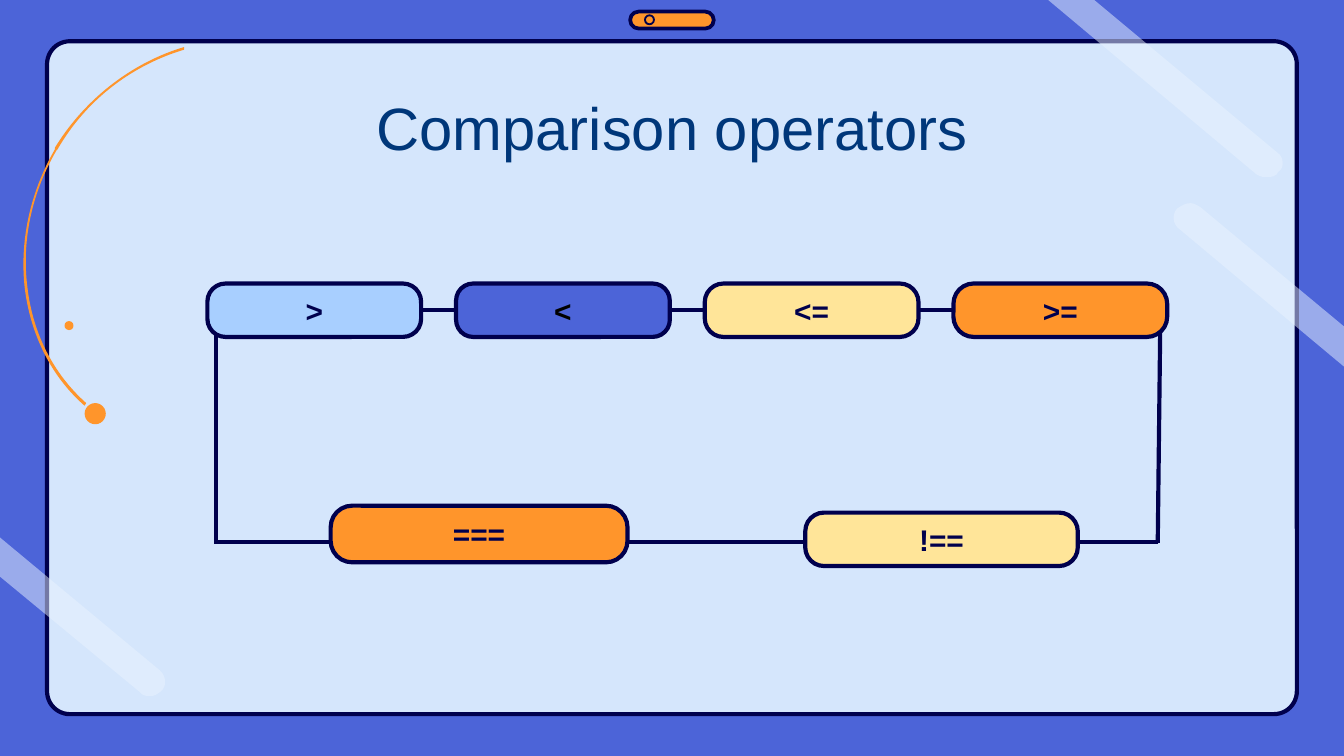
from lxml import etree
from pptx import Presentation
from pptx.dml.color import RGBColor as RGB
from pptx.enum.shapes import MSO_CONNECTOR as Connector, MSO_SHAPE as Preset
from pptx.enum.text import MSO_ANCHOR as Anchor, PP_ALIGN as Align
from pptx.oxml.ns import qn
from pptx.util import Cm, Pt

NAVY, BLUE, ORANGE, YELLOW = "00004D", "4C64D8", "FF952B", "FFE599"


def paint(shape, fill=None, line=None, width=2.25):
    shape.shadow.inherit = False
    if fill:
        shape.fill.solid()
        shape.fill.fore_color.rgb = RGB.from_string(fill)
    else:
        shape.fill.background()
    if line:
        shape.line.color.rgb = RGB.from_string(line)
        shape.line.width = Pt(width)
    else:
        shape.line.fill.background()


def add_outline(start, segments, fill):
    points = [(Cm(segment[i]), Cm(segment[i + 1]))
              for segment in segments for i in range(0, len(segment), 2)]
    builder = shapes.build_freeform(Cm(start[0]), Cm(start[1]))
    builder.add_line_segments(points, close=True)
    shape = builder.convert_to_shape()
    steps = iter(list(shape.element.iter(qn("a:lnTo"))))
    for segment in segments:
        step = next(steps)
        if len(segment) == 6:
            curve = etree.Element(qn("a:cubicBezTo"))
            step.addprevious(curve)
            for corner in (step, next(steps), next(steps)):
                curve.append(corner[0])
                corner.getparent().remove(corner)
    paint(shape, fill)
    return shape


presentation = Presentation()
presentation.slide_width, presentation.slide_height = Cm(25.4), Cm(14.29)
slide = presentation.slides.add_slide(presentation.slide_layouts[5])
shapes = slide.shapes
slide.background.fill.solid()
slide.background.fill.fore_color.rgb = RGB.from_string(BLUE)

decorations = [
    (Preset.ROUNDED_RECTANGLE, 0.89, 0.78, 23.62, 12.72, 0.034, "D5E6FC", NAVY, 2.25),
    (Preset.ROUNDED_RECTANGLE, 11.91, 0.22, 1.58, 0.32, 0.5, ORANGE, NAVY, 2),
    (Preset.OVAL, 12.19, 0.29, 0.17, 0.17, None, None, NAVY, 1),
    (Preset.OVAL, 1.22, 6.07, 0.17, 0.17, None, ORANGE, None, 0),
    (Preset.OVAL, 1.6, 7.62, 0.4, 0.4, None, ORANGE, None, 0),
]
for preset, left, top, width, height, rounding, fill, line, weight in decorations:
    shape = shapes.add_shape(preset, Cm(left), Cm(top), Cm(width), Cm(height))
    if rounding:
        shape.adjustments[0] = rounding
    paint(shape, fill, line, weight)

add_outline((1.6, 7.67), [
    (1.63, 7.62), (1, 7.06, 0.62, 6.29, 0.52, 5.44), (0.41, 4.59, 0.58, 3.68, 1.07, 2.84),
    (1.09, 2.82), (1.65, 1.85, 2.54, 1.22, 3.48, 0.94), (3.48, 0.89),
    (2.54, 1.17, 1.63, 1.83, 1.04, 2.79), (1.04, 2.82),
    (0.55, 3.67, 0.37, 4.6, 0.47, 5.46), (0.58, 6.32, 0.96, 7.11, 1.6, 7.67)], ORANGE)

stripes = [
    ((19.81, 0), [(23.75, 3.3), (23.83, 3.35, 23.9, 3.35, 23.95, 3.35),
                  (24.03, 3.35, 24.13, 3.33, 24.16, 3.25),
                  (24.28, 3.18, 24.26, 2.97, 24.16, 2.9), (20.68, 0)]),
    ((2.82, 13.16), [(2.92, 13.16, 2.97, 13.13, 3.05, 13.06),
                     (3.15, 12.98, 3.15, 12.78, 3.02, 12.67), (0, 10.16), (0, 10.9),
                     (2.64, 13.08), (2.67, 13.13, 2.74, 13.16, 2.82, 13.16)]),
    ((22.5, 3.84), [(22.4, 3.84, 22.33, 3.89, 22.25, 3.94),
                    (22.15, 4.04, 22.15, 4.24, 22.3, 4.34), (25.4, 6.93), (25.4, 6.17),
                    (22.68, 3.91), (22.63, 3.89, 22.58, 3.84, 22.5, 3.84)]),
]
for start, segments in stripes:
    stripe = add_outline(start, segments, "E9F3FF")
    color = stripe.element.spPr.find(qn("a:solidFill"))[0]
    etree.SubElement(color, qn("a:alpha"), val="50000")

title = shapes.title
title.left, title.top, title.width, title.height = Cm(2.01), Cm(1.47), Cm(21.39), Cm(1.6)
stripe.element.addnext(title.element)
title.text_frame.text = "Comparison operators"
title.text_frame.vertical_anchor = Anchor.TOP
title.text_frame.margin_top = title.text_frame.margin_bottom = Cm(0.25)
paragraph = title.text_frame.paragraphs[0]
paragraph.alignment = Align.CENTER
font = paragraph.runs[0].font
font.name, font.size = "Arial", Pt(32)
font.color.rgb = RGB.from_string("00377A")

connectors = [
    (4.08, 10.21, 4.08, 5.82, True),
    (7.95, 5.86, 22.07, 5.86, False),
    (21.88, 10.26, 21.93, 5.89, True),
    (21.89, 10.24, 4.04, 10.24, False),
]
for x1, y1, x2, y2, oval_end in connectors:
    connector = shapes.add_connector(Connector.STRAIGHT, Cm(x1), Cm(y1), Cm(x2), Cm(y2))
    connector.line.color.rgb = RGB.from_string(NAVY)
    connector.line.width = Pt(2.25)
    if oval_end:
        line_element = connector.element.spPr.find(qn("a:ln"))
        etree.SubElement(line_element, qn("a:tailEnd"), type="oval")
    etree.SubElement(connector.element.spPr, qn("a:effectLst"))

top_row = [(">", "A8CFFF", NAVY, 0.34), ("<", BLUE, "000000", 0.32),
           ("<=", YELLOW, NAVY, 0.35), (">=", ORANGE, NAVY, 0.38)]
operators = [(3.92 + 4.7 * column, 5.36, 4.04, 1.01, *style)
             for column, style in enumerate(top_row)]
operators += [(15.22, 9.69, 5.15, 1.01, "!==", YELLOW, NAVY, 0.35),
              (6.25, 9.56, 5.61, 1.07, "===", ORANGE, NAVY, 0.38)]
for left, top, width, height, text, fill, text_color, rounding in operators:
    box = shapes.add_shape(Preset.ROUNDED_RECTANGLE, Cm(left), Cm(top), Cm(width), Cm(height))
    box.adjustments[0] = rounding
    paint(box, fill, NAVY)
    box.text_frame.text = text
    box.text_frame.vertical_anchor = Anchor.MIDDLE
    box.text_frame.margin_top = box.text_frame.margin_bottom = Cm(0.25)
    paragraph = box.text_frame.paragraphs[0]
    paragraph.alignment = Align.CENTER
    font = paragraph.runs[0].font
    font.name, font.size, font.bold = "Arial", Pt(16), True
    font.color.rgb = RGB.from_string(text_color)

presentation.save("out.pptx")
